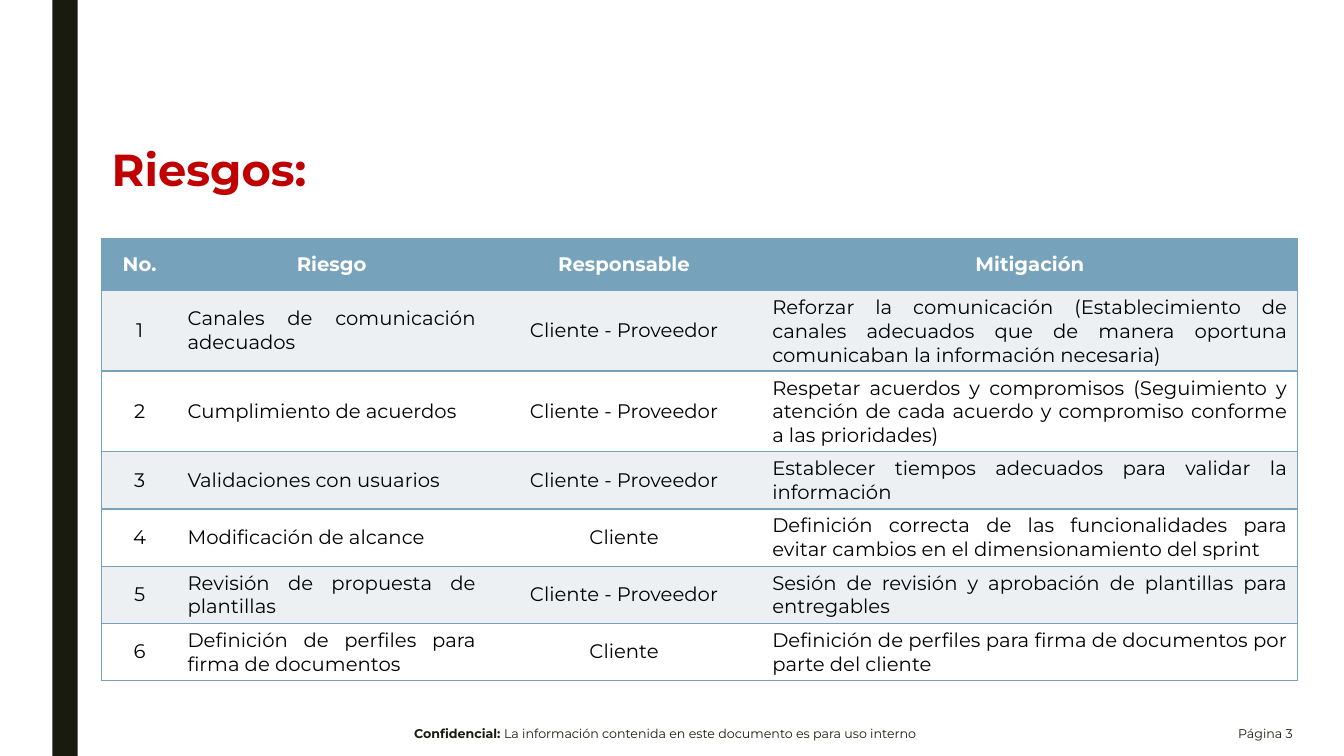
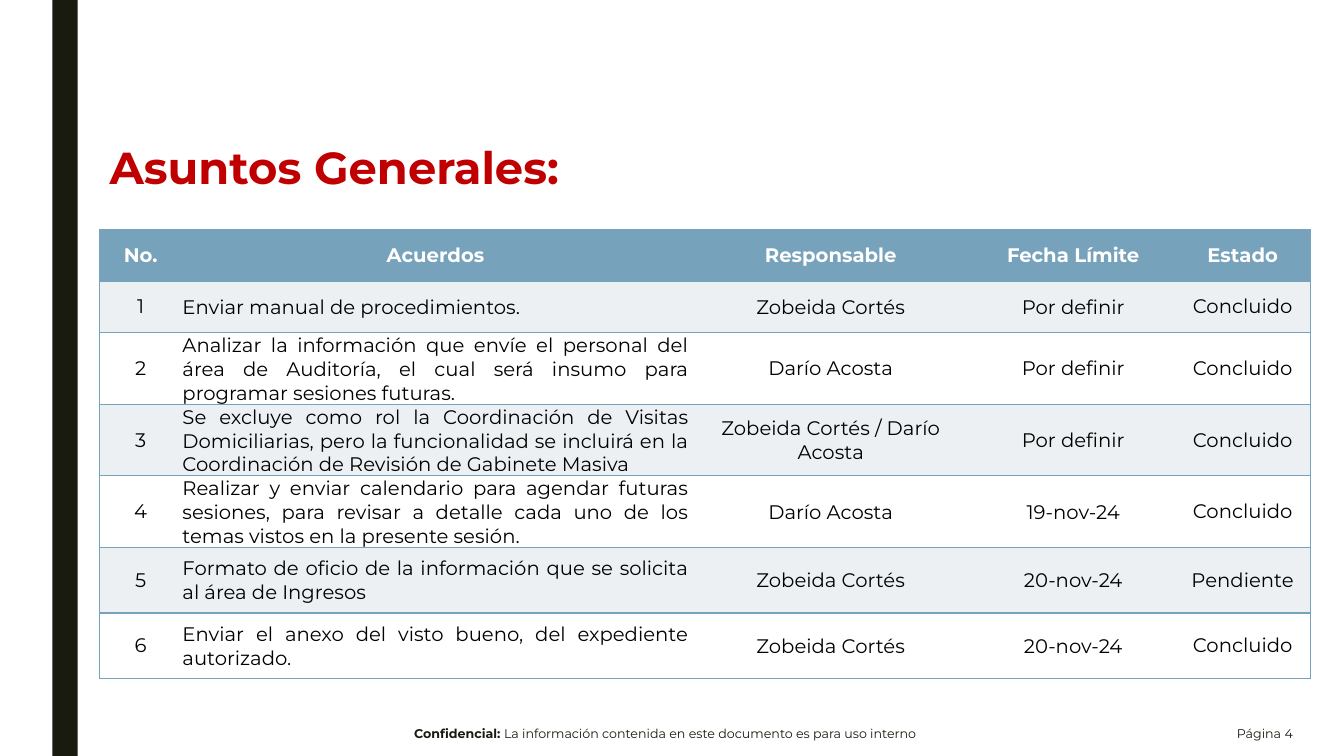
from dataclasses import dataclass

import lxml.etree
import pptx
import pptx.dml.color
import pptx.enum.shapes
import pptx.enum.text
import pptx.oxml.ns
import pptx.util

Inches = pptx.util.Inches
Pt = pptx.util.Pt
qn = pptx.oxml.ns.qn
ALIGN = pptx.enum.text.PP_ALIGN
MIDDLE = pptx.enum.text.MSO_ANCHOR.MIDDLE

FONT = "Montserrat"
COLORS = {
    "dark": "191B0E",
    "title": "C00000",
    "header": "77A2BB",
    "band": "ECF0F3",
    "white": "FFFFFF",
    "text": "000000",
}
NO_TABLE_STYLE = "{2D5ABB26-0587-4C30-8999-92F81FD0307C}"
DEFAULT_INSETS = (0.1, 0.05, 0.1, 0.05)
TIGHT_INSETS = (0.01, 0.01, 0.01, 0)
STATUS_INSETS = (0.02, 0, 0.02, 0)


@dataclass
class Column:
    header: str
    width: float
    align: ALIGN = ALIGN.CENTER
    insets: tuple[float, ...] = DEFAULT_INSETS


@dataclass
class TableSlide:
    page: int
    title: str
    left: float
    title_top: float
    table_top: float
    columns: list[Column]
    row_heights: list[float]
    rows: list[tuple[str, ...]]


SLIDES = [
    TableSlide(
        3, "Riesgos:", 1.01, 1.42, 2.37,
        [
            Column("No.", 0.75),
            Column("Riesgo", 3.06, ALIGN.JUSTIFY),
            Column("Responsable", 2.74),
            Column("Mitigación", 5.31, ALIGN.JUSTIFY),
        ],
        [0.51] * 7,
        [
            ("Canales de comunicación adecuados", "Cliente - Proveedor",
             "Reforzar la comunicación (Establecimiento de canales adecuados que de manera "
             "oportuna comunicaban la información necesaria)"),
            ("Cumplimiento de acuerdos", "Cliente - Proveedor",
             "Respetar acuerdos y compromisos (Seguimiento y atención de cada acuerdo y "
             "compromiso conforme a las prioridades)"),
            ("Validaciones con usuarios", "Cliente - Proveedor",
             "Establecer tiempos adecuados para validar la información"),
            ("Modificación de alcance", "Cliente",
             "Definición correcta de las funcionalidades para evitar cambios en el "
             "dimensionamiento del sprint"),
            ("Revisión de propuesta de plantillas", "Cliente - Proveedor",
             "Sesión de revisión y aprobación de plantillas para entregables"),
            ("Definición de perfiles para firma de documentos", "Cliente",
             "Definición de perfiles para firma de documentos por parte del cliente"),
        ],
    ),
    TableSlide(
        4, "Asuntos Generales:", 0.99, 1.4, 2.28,
        [
            Column("No.", 0.81),
            Column("Acuerdos", 5.04, ALIGN.JUSTIFY, TIGHT_INSETS),
            Column("Responsable", 2.8, insets=TIGHT_INSETS),
            Column("Fecha Límite", 2.01, insets=TIGHT_INSETS),
            Column("Estado", 1.35, insets=STATUS_INSETS),
        ],
        [0.51] * 3 + [0.65] * 4,
        [
            ("Enviar manual de procedimientos.", "Zobeida Cortés", "Por definir", "Concluido"),
            ("Analizar la información que envíe el personal del área de Auditoría, el cual "
             "será insumo para programar sesiones futuras.",
             "Darío Acosta", "Por definir", "Concluido"),
            ("Se excluye como rol la Coordinación de Visitas Domiciliarias, pero la "
             "funcionalidad se incluirá en la Coordinación de Revisión de Gabinete Masiva",
             "Zobeida Cortés / Darío Acosta", "Por definir", "Concluido"),
            ("Realizar y enviar calendario para agendar futuras sesiones, para revisar a "
             "detalle cada uno de los temas vistos en la presente sesión.",
             "Darío Acosta", "19-nov-24", "Concluido"),
            ("Formato de oficio de la información que se solicita al área de Ingresos",
             "Zobeida Cortés", "20-nov-24", "Pendiente"),
            ("Enviar el anexo del visto bueno, del expediente autorizado.",
             "Zobeida Cortés", "20-nov-24", "Concluido"),
        ],
    ),
]


def rgb(name: str) -> pptx.dml.color.RGBColor:
    return pptx.dml.color.RGBColor.from_string(COLORS[name])


def style_run(r, size: float, color: str, bold: bool = False) -> None:
    r.font.name = FONT
    r.font.size = Pt(size)
    r.font.bold = bold
    r.font.color.rgb = rgb(color)


def add_text(s, left: float, top: float, width: float, height: float,
             parts: list[tuple[str, bool]], size: float, color: str, align: ALIGN):
    tf = s.shapes.add_textbox(*map(Inches, (left, top, width, height))).text_frame
    tf.word_wrap = True
    p = tf.paragraphs[0]
    p.alignment = align
    for text, bold in parts:
        r = p.add_run()
        r.text = text
        style_run(r, size, color, bold)
    return tf


def add_master_band(prs, s) -> None:
    sp = s.shapes.add_shape(pptx.enum.shapes.MSO_SHAPE.RECTANGLE,
                            Inches(0.52), 0, Inches(0.25), prs.slide_height)
    sp.shadow.inherit = False
    sp.fill.solid()
    sp.fill.fore_color.rgb = rgb("dark")
    sp.line.fill.background()
    prs.slide_master.shapes.element.append(sp.element)


def add_title(s, text: str, left: float, top: float) -> None:
    tf = add_text(s, left, top, 5.83, 0.59, [(text, True)], 32, "title", ALIGN.JUSTIFY)
    tf.paragraphs[0].line_spacing = 0.9


def add_footer(s, page: int) -> None:
    notice = [("Confidencial: ", True),
              ("La información contenida en este documento es para uso interno", False)]
    for left, width, parts, align in (
        (3.16, 6.87, notice, ALIGN.CENTER),
        (11.17, 1.75, [(f"Página {page}", False)], ALIGN.RIGHT),
    ):
        tf = add_text(s, left, 7.06, width, 0.44, parts, 9, "dark", align)
        tf.vertical_anchor = MIDDLE


def set_borders(cell, sides: str) -> None:
    tc_pr = cell._tc.get_or_add_tcPr()
    for i, side in enumerate(sides):
        ln = lxml.etree.Element(qn(f"a:ln{side}"), w=str(Pt(1)))
        fill = lxml.etree.SubElement(ln, qn("a:solidFill"))
        lxml.etree.SubElement(fill, qn("a:srgbClr"), val=COLORS["header"])
        tc_pr.insert(i, ln)


def fill_cell(cell, text: str, align: ALIGN, insets: tuple[float, ...],
              fill: str, color: str, bold: bool) -> None:
    cell.vertical_anchor = MIDDLE
    (cell.margin_left, cell.margin_top,
     cell.margin_right, cell.margin_bottom) = map(Inches, insets)
    cell.fill.solid()
    cell.fill.fore_color.rgb = rgb(fill)
    p = cell.text_frame.paragraphs[0]
    p.text = text
    p.alignment = align
    style_run(p.runs[0], 14, color, bold)


def add_table(s, data: TableSlide) -> None:
    cols = data.columns
    width = sum(col.width for col in cols)
    table = s.shapes.add_table(
        len(data.row_heights), len(cols), Inches(data.left), Inches(data.table_top),
        Inches(width), Inches(sum(data.row_heights))).table
    table._tbl.tblPr.find(qn("a:tableStyleId")).text = NO_TABLE_STYLE
    for j, col in enumerate(cols):
        table.columns[j].width = Inches(col.width)
    for i, height in enumerate(data.row_heights):
        table.rows[i].height = Inches(height)
        values = (str(i), *data.rows[i - 1])
        for j, col in enumerate(cols):
            cell = table.cell(i, j)
            if i == 0:
                fill_cell(cell, col.header, ALIGN.CENTER, DEFAULT_INSETS,
                          "header", "white", True)
            else:
                fill_cell(cell, values[j], col.align, col.insets,
                          "band" if i % 2 else "white", "text", False)
            set_borders(cell, {0: "LTB", len(cols) - 1: "RTB"}.get(j, "TB"))


def main() -> None:
    prs = pptx.Presentation()
    prs.slide_width = Inches(13.33)
    prs.slide_height = Inches(7.5)
    for i, data in enumerate(SLIDES):
        s = prs.slides.add_slide(prs.slide_layouts[6])
        if i == 0:
            add_master_band(prs, s)
        add_title(s, data.title, data.left, data.title_top)
        add_table(s, data)
        add_footer(s, data.page)
    prs.save("out.pptx")


if __name__ == "__main__":
    main()
